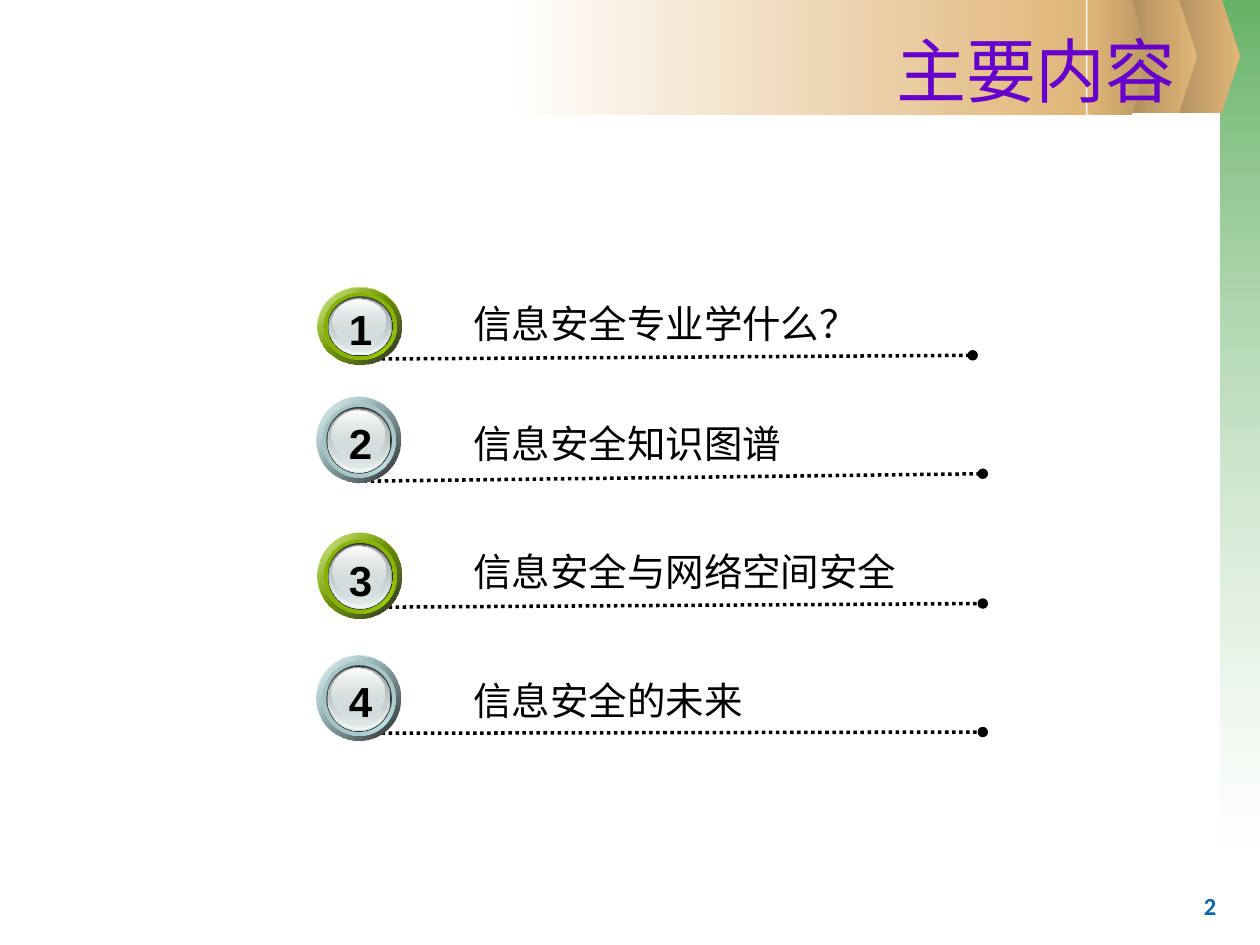
from lxml import etree
from pptx import Presentation
from pptx.dml.color import RGBColor
from pptx.enum import dml, shapes, text
from pptx.oxml import ns
from pptx.util import Inches, Pt

COLORS = {
    "black": "000000", "white": "FFFFFF", "title": "6600CC", "number": "0064AC",
    "green": "339933", "tan": "E0B678", "tan_dark": "AB8B5C", "tan_mid": "BD9965",
    "rim": "333333", "steel": "636869", "silver": "D6E1E2",
    "pale": "F1F5F5", "gray": "AAB2B3",
}
LIME = {"main": "99CC00", "dark": "759C00", "soft": "7EA700"}
TEAL = {"main": "BBE0E3", "dark": "8FACAE", "soft": "9AB8BA"}
CJK = "Noto Sans CJK JP"

# Badge left, top and height scale, number top, palette; text, its font and top; line ends
ROWS = [
    (2.52, 2.28, 0.9, 2.36, LIME, "信息安全专业学什么？", "Arial", 2.33, (2.86, 2.85, 7.72, 2.82)),
    (2.51, 3.15, 1, 3.26, TEAL, "信息安全知识图谱", CJK, 3.28, (2.83, 3.82, 7.8, 3.76)),
    (2.52, 4.23, 1, 4.35, LIME, "信息安全与网络空间安全", CJK, 4.3, (2.86, 4.82, 7.8, 4.79)),
    (2.51, 5.2, 1, 5.31, TEAL, "信息安全的未来", CJK, 5.32, (2.86, 5.82, 7.8, 5.81)),
]

# Badge rings from back to front: offset and size, angle, stops (position, colour, opacity)
RINGS = [
    ((0, 0, 0.67, 0.68), 45, [(0, "white", 100), (50, "main", 100), (100, "white", 100)]),
    ((0, 0, 0.67, 0.68), 45, [(0, "main", 32), (100, "black", 90)]),
    ((0.05, 0.05, 0.58, 0.59), 315, [(0, "dark", 100), (50, "main", 100), (100, "dark", 100)]),
    ((0.05, 0.05, 0.58, 0.59), 45, [(0, "soft", 100), (100, "main", 0)]),
    ((0.08, 0.08, 0.52, 0.53), 0, [(0, "rim", 100), (100, "rim", 100)]),
    ((0.09, 0.09, 0.5, 0.51), 90, [(0, "steel", 100), (100, "silver", 100)]),
    ((0.09, 0.09, 0.49, 0.5), 90, [(0, "silver", 0), (100, "pale", 100)]),
    ((0.1, 0.1, 0.47, 0.47), 90, [(0, "gray", 100), (100, "silver", 48)]),
    ((0.12, 0.11, 0.42, 0.38), 90, [(0, "white", 100), (100, "silver", 38)]),
]


def add_gradient(shape, angle, stops, palette):
    """Give a shape a linear gradient whose stops carry an opacity."""
    shape.fill.background()
    old_fill = shape._element.spPr.find(ns.qn("a:noFill"))
    gradient = etree.Element(ns.qn("a:gradFill"), rotWithShape="1")
    stop_list = etree.SubElement(gradient, ns.qn("a:gsLst"))
    for position, color, opacity in stops:
        stop = etree.SubElement(stop_list, ns.qn("a:gs"), pos=str(position * 1000))
        value = etree.SubElement(stop, ns.qn("a:srgbClr"), val=palette[color])
        if opacity < 100:
            etree.SubElement(value, ns.qn("a:alpha"), val=str(opacity * 1000))
    etree.SubElement(gradient, ns.qn("a:lin"), ang=str(angle * 60000), scaled="0")
    old_fill.getparent().replace(old_fill, gradient)


def add_gradient_shape(parent, kind, bounds, angle, stops, palette=COLORS):
    shape = parent.shapes.add_shape(kind, *map(Inches, bounds))
    shape.shadow.inherit = False
    shape.line.fill.background()
    add_gradient(shape, angle, stops, palette)
    return shape


def add_text(parent, words, bounds, size, font, color="black", bold=False,
             align=text.PP_ALIGN.LEFT, anchor=text.MSO_ANCHOR.MIDDLE, wrap=False):
    box = parent.shapes.add_textbox(*map(Inches, bounds))
    frame = box.text_frame
    frame.word_wrap = wrap
    frame.vertical_anchor = anchor
    para = frame.paragraphs[0]
    para.alignment = align
    span = para.add_run()
    span.text = words
    span.font.name, span.font.size, span.font.bold = font, Pt(size), bold
    span.font.color.rgb = RGBColor.from_string(COLORS[color])
    etree.SubElement(span._r.get_or_add_rPr(), ns.qn("a:ea"), typeface=CJK)


def add_dotted_line(page, ends):
    line = page.shapes.add_connector(shapes.MSO_CONNECTOR.STRAIGHT, *map(Inches, ends))
    line.line.width = Pt(2)
    line.line.color.rgb = RGBColor.from_string(COLORS["black"])
    line.line.dash_style = dml.MSO_LINE.ROUND_DOT
    etree.SubElement(line.line._get_or_add_ln(), ns.qn("a:tailEnd"), type="oval")
    etree.SubElement(line._element.spPr, ns.qn("a:effectLst"))


def add_badge(page, number, left, top, scale, number_top, palette):
    badge = page.shapes.add_group_shape()
    for (dx, dy, width, height), angle, stops in RINGS:
        bounds = (left + dx, top + dy * scale, width, height * scale)
        add_gradient_shape(badge, shapes.MSO_SHAPE.OVAL, bounds, angle, stops, COLORS | palette)
    add_text(badge, str(number), (2.67, number_top, 0.37, 0.5), 24, "Arial",
             bold=True, align=text.PP_ALIGN.CENTER)


def add_background(page):
    rectangle, pentagon = shapes.MSO_SHAPE.RECTANGLE, shapes.MSO_SHAPE.PENTAGON
    parts = [
        (rectangle, (9.69, 0, 0.31, 6.77), 90, [(0, "green", 75), (100, "white", 37)]),
        (pentagon, (9.25, -0.01, 0.59, 0.91), 0, [(0, "tan_dark", 100), (100, "tan", 100)]),
        (pentagon, (8.91, -0.01, 0.59, 0.91), 0, [(0, "tan_dark", 100), (100, "tan", 100)]),
        (rectangle, (4.02, 0, 4.6, 0.91), 0, [(0, "white", 100), (100, "tan", 100)]),
        (pentagon, (8.63, 0, 0.47, 0.91), 0, [(0, "tan", 100), (100, "tan_mid", 100)]),
    ]
    for kind, bounds, angle, stops in parts:
        shape = add_gradient_shape(page, kind, bounds, angle, stops)
        if kind == pentagon:
            shape.adjustments[0] = 0.25


def main():
    deck = Presentation()
    deck.slide_width, deck.slide_height = Inches(10), Inches(7.5)
    page = deck.slides.add_slide(deck.slide_layouts[6])

    # Side strip, header band and page number
    add_background(page)
    add_text(page, "2", (9.21, 7.02, 0.79, 0.27), 14, "Calibri", "number", True,
             text.PP_ALIGN.CENTER, text.MSO_ANCHOR.TOP, wrap=True)

    # Lines lie behind the badges
    for row in ROWS:
        add_dotted_line(page, row[-1])

    # Numbered topics
    for number, (left, top, scale, number_top, palette, topic, font, topic_top, _) in enumerate(ROWS, 1):
        add_badge(page, number, left, top, scale, number_top, palette)
        add_text(page, topic, (3.66, topic_top, 3.7, 0.47), 22, font)

    # Title
    add_text(page, "主要内容", (0.31, 0.17, 9.12, 0.77), 40, CJK, "title",
             align=text.PP_ALIGN.RIGHT, wrap=True)
    deck.save("out.pptx")


if __name__ == "__main__":
    main()
